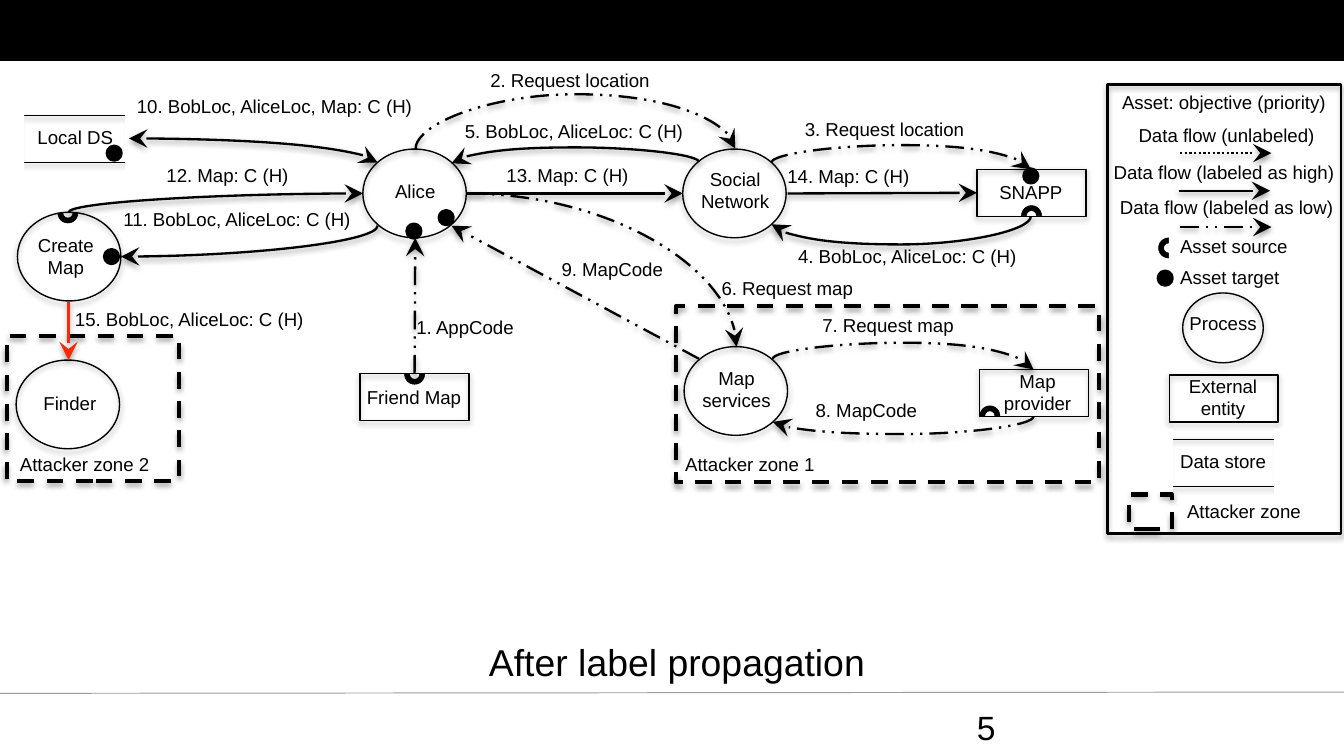
from dataclasses import dataclass
from typing import Optional

import pptx
import pptx.dml.color
import pptx.enum.dml
import pptx.enum.shapes
import pptx.enum.text
import pptx.oxml
import pptx.oxml.ns
import pptx.util
from lxml import etree

COLORS = {"ink": "000000", "paper": "FFFFFF", "rule": "9C9C9C", "leak": "F92B07"}
SHAPE = pptx.enum.shapes.MSO_SHAPE
DASH = pptx.enum.dml.MSO_LINE
LOW, UNLABELED, ZONE = DASH.DASH_DOT_DOT, DASH.ROUND_DOT, DASH.DASH
CAPTION_WIDTH = 0.96
qn = pptx.oxml.ns.qn


@dataclass
class Node:
    kind: str
    x: float
    y: float
    label: str
    dx: float
    dy: float
    width: float = 0.81
    height: float = 0.35


@dataclass
class Flow:
    start: tuple
    end: tuple
    dash: Optional[int] = None
    level: Optional[float] = None  # height of the bow of a U-shaped curve
    corner: str = ""  # first direction of a quarter curve
    color: str = "ink"
    both: bool = False
    source: str = ""
    target: str = ""


PROCESS = {"width": 0.77, "height": 0.66}
NODES = [
    Node("process", 5.09, 2.58, "Map services", -0.09, 0.1, **PROCESS),
    Node("process", 5.08, 1.11, "Social Network", -0.09, 0.09, **PROCESS),
    Node("process", 2.7, 1.11, "Alice", -0.09, 0.18, **PROCESS),
    Node("process", 0.13, 1.58, "Create\nMap", -0.12, 0.11, **PROCESS),
    Node("process", 0.12, 2.68, "Finder", -0.08, 0.19, **PROCESS),
    Node("process", 8.8, 2.18, "Process", -0.18, 0.09, 0.6, 0.52),
    Node("entity", 2.68, 2.78, "Friend Map", -0.08, 0.04),
    Node("entity", 7.27, 1.26, "SNAPP", -0.08, 0.04),
    Node("entity", 7.29, 2.75, "Map provider", -0.05, -0.05),
    Node("entity", 8.7, 2.79, "External entity", -0.08, -0.05),
    Node("store", 8.7, 3.27, "Data store", -0.08, 0.03),
    Node("store", 0.15, 0.86, "Local DS", -0.07, 0.03),
]
FLOWS = [
    Flow((3.09, 2.78), (3.09, 1.77), LOW, source="Friend Map"),
    Flow((3.09, 1.11), (5.47, 1.11), LOW, level=0.69),
    Flow((5.74, 1.21), (7.67, 1.26), LOW, level=1.08),
    Flow((7.67, 1.61), (5.74, 1.67), level=1.82),
    Flow((5.2, 1.21), (3.36, 1.21), level=1.1),
    Flow((3.47, 1.44), (5.48, 2.58), LOW, corner="across"),
    Flow((5.75, 2.67), (7.69, 2.75), LOW, level=2.55),
    Flow((7.69, 3.1), (5.75, 3.14), LOW, level=3.23),
    Flow((5.2, 2.67), (3.36, 1.68), LOW),
    Flow((0.96, 1.03), (2.81, 1.21), corner="across", both=True),
    Flow((2.81, 1.68), (0.9, 1.91), corner="down"),
    Flow((0.51, 1.58), (2.7, 1.44), corner="down"),
    Flow((3.47, 1.44), (5.08, 1.44)),
    Flow((5.86, 1.44), (7.27, 1.44), target="SNAPP"),
    Flow((0.51, 2.25), (0.51, 2.68), color="leak"),
    # Legend samples
    Flow((8.78, 1.14), (9.46, 1.14), UNLABELED),
    Flow((8.77, 1.42), (9.45, 1.42)),
    Flow((8.78, 1.69), (9.46, 1.69), LOW),
]
FLOW_LABELS = [
    (3, 2.3, 1.34, "1. AppCode"), (3.55, 0.46, 1.53, "2. Request location"),
    (5.89, 0.83, 1.53, "3. Request location"), (5.84, 1.77, 2.17, "4. BobLoc, AliceLoc: C (H)"),
    (3.36, 0.84, 2.18, "5. BobLoc, AliceLoc: C (H)"), (5.27, 2.01, 1.19, "6. Request map"),
    (6.02, 2.29, 1.2, "7. Request map"), (5.97, 2.92, 1.05, "8. MapCode"),
    (4.08, 1.87, 1.48, "9. MapCode"), (0.92, 0.66, 2.38, "10. BobLoc, AliceLoc, Map: C (H)"),
    (0.82, 1.5, 2.33, "11. BobLoc, AliceLoc: C (H)"), (1.14, 1.17, 1.61, "12. Map: C (H)"),
    (3.67, 1.17, 1.71, "13. Map: C (H)"), (5.76, 1.18, 1.68, "14. Map: C (H)"),
    (0.46, 2.24, 2.47, "15. BobLoc, AliceLoc: C (H)"), (8.25, 0.63, 1.75, "Asset: objective (priority)"),
    (5, 3.32, 1.48, "Attacker zone 1"), (0.05, 3.32, 1.48, "Attacker zone 2"),
]
LEGEND_LABELS = [
    (8.08, 0.87, 2.09, "Data flow (unlabeled)"), (8.06, 1.15, 2.09, "Data flow (labeled as high)"),
    (8.08, 1.41, 2.09, "Data flow (labeled as low)"), (8.67, 1.7, 1.02, "Asset source"),
    (8.67, 1.93, 0.96, "Asset target"), (8.72, 3.67, 1.07, "Attacker zone"),
]
ZONES = [(5.03, 2.28, 3.15, 1.31), (0.05, 2.5, 1.28, 1.08), (8.4, 3.68, 0.32, 0.26)]
TARGETS = [(3.03, 1.67), (3.27, 1.57), (7.62, 1.26), (0.78, 1.86), (0.8, 1.09), (8.62, 2.02)]
SOURCES = [(3.01, 2.71, 180), (7.6, 1.53, 0), (7.29, 3.02, 0), (0.43, 1.51, 180), (8.62, 1.77, 270)]


def length(inches: float) -> pptx.util.Length:
    return pptx.util.Cm(inches * 2.54)


def rgb(name: str) -> pptx.dml.color.RGBColor:
    return pptx.dml.color.RGBColor.from_string(COLORS[name])


def set_shadow(shape, visible: bool, alpha: int = 38, distance: float = 1.6) -> None:
    properties = shape.element.spPr
    effects = properties.find(qn("a:effectLst"))
    if effects is None:
        effects = etree.SubElement(properties, qn("a:effectLst"))
    if visible:
        shadow = etree.SubElement(effects, qn("a:outerShdw"), blurRad=str(pptx.util.Pt(3.1)),
                                  dist=str(pptx.util.Pt(distance)), dir="5400000", rotWithShape="0")
        tint = etree.SubElement(shadow, qn("a:srgbClr"), val=COLORS["ink"])
        etree.SubElement(tint, qn("a:alpha"), val=str(alpha * 1000))


def add_block(page, kind, x: float, y: float, width: float, height: float, fill: str = "",
              line: float = 0, dash=None, shadow: bool = False):
    block = page.shapes.add_shape(kind, *map(length, (x, y, width, height)))
    block.shadow.inherit = False
    if fill:
        block.fill.solid()
        block.fill.fore_color.rgb = rgb(fill)
    else:
        block.fill.background()
    if line:
        block.line.color.rgb = rgb("ink")
        block.line.width = pptx.util.Pt(line)
        if dash:
            block.line.dash_style = dash
    else:
        block.line.fill.background()
    set_shadow(block, shadow)
    return block


def add_text(page, text: str, x: float, y: float, width: float, height: float = 0.27,
             size: float = 10, centered: bool = False, wrap: bool = True) -> None:
    box = page.shapes.add_textbox(*map(length, (x, y, width, height)))
    box.text_frame.word_wrap = wrap
    box.text_frame.text = text
    for para in box.text_frame.paragraphs:
        para.alignment = pptx.enum.text.PP_ALIGN.CENTER if centered else pptx.enum.text.PP_ALIGN.LEFT
        for span in para.runs:
            span.font.name, span.font.size = "Arial", pptx.util.Pt(size)
            span.font.color.rgb = rgb("ink")


def add_line(page, start: tuple, end: tuple, color: str, weight: float, curved: bool = False):
    kinds = pptx.enum.shapes.MSO_CONNECTOR
    line = page.shapes.add_connector(kinds.CURVE if curved else kinds.STRAIGHT,
                                     *map(length, (*start, *end)))
    line.line.color.rgb = rgb(color)
    line.line.width = pptx.util.Pt(weight)
    return line


def add_curve(page, flow: Flow):
    """Place a preset curve; curves that start vertically are turned a quarter."""
    (x1, y1), (x2, y2) = flow.start, flow.end
    width, height = abs(x2 - x1), max(abs(y2 - y1), 0.01)
    if flow.corner == "across":
        curve = add_line(page, (x1, y1), (x2, y2), flow.color, 1.25, curved=True)
    else:
        left, top = (x1 + x2 - height) / 2, (y1 + y2 - width) / 2
        curve = add_line(page, (left, top), (left + height, top + width), flow.color, 1.25, curved=True)
        rightward, upward = x2 > x1, y2 < y1 or (y1 == y2 and x2 > x1)
        frame = curve.element.spPr.find(qn("a:xfrm"))
        three_quarters = rightward and not upward
        frame.set("rot", str((270 if three_quarters else 90) * 60000))
        frame.set("flipH", str(int(upward or three_quarters)))
        frame.set("flipV", str(int(rightward and upward)))
    geometry = curve.element.spPr.find(qn("a:prstGeom"))
    geometry.set("prst", "curvedConnector2" if flow.corner else "curvedConnector3")
    if flow.level is not None:
        bend = (flow.level - y1) / (-height if upward else height)
        guides = geometry.find(qn("a:avLst"))
        etree.SubElement(guides, qn("a:gd"), name="adj1", fmla=f"val {round(bend * 100000)}")
    return curve


def add_flow(page, flow: Flow, entities: dict) -> None:
    if flow.corner or flow.level is not None:
        line = add_curve(page, flow)
    else:
        line = add_line(page, flow.start, flow.end, flow.color, 1.25)
        if flow.source:
            line.begin_connect(entities[flow.source], 0)
        if flow.target:
            line.end_connect(entities[flow.target], 1)
    if flow.dash:
        line.line.dash_style = flow.dash
    outline = line.element.spPr.find(qn("a:ln"))
    for tag in ("a:headEnd", "a:tailEnd") if flow.both else ("a:tailEnd",):
        etree.SubElement(outline, qn(tag), type="stealth", w="lg", len="lg")
    set_shadow(line, True)


def add_node(page, node: Node):
    kind = SHAPE.OVAL if node.kind == "process" else SHAPE.RECTANGLE
    block = add_block(page, kind, node.x, node.y, node.width, node.height, line=0.75, shadow=True)
    if node.kind == "store":  # white strips hide the short sides
        for offset in (-0.14, 0.78):
            add_block(page, SHAPE.RECTANGLE, node.x + offset, node.y - 0.08, 0.17, 0.52, fill="paper")
    add_text(page, node.label, node.x + node.dx, node.y + node.dy, CAPTION_WIDTH, 0.45, centered=True)
    return block


def main() -> None:
    deck = pptx.Presentation()
    deck.slide_width, deck.slide_height = pptx.util.Cm(25.4), pptx.util.Cm(14.29)
    page = deck.slides.add_slide(deck.slide_layouts[6])
    # Page frame
    add_block(page, SHAPE.RECTANGLE, 0, 0, 10, 0.46, fill="ink")
    for start, end, color in (((0, 5.16), (10, 5.15), "rule"), ((0, 0.46), (10, 0.46), "paper")):
        set_shadow(add_line(page, start, end, color, 0.5), False)
    add_text(page, "5", 7.17, 5.21, 2.33, 0.3, size=18)
    # Legend frame, nodes and attacker zones
    add_block(page, SHAPE.RECTANGLE, 8.24, 0.63, 1.74, 3.34, line=1.25, shadow=True)
    entities = {node.label: add_node(page, node) for node in NODES}
    for zone in ZONES:
        add_block(page, SHAPE.RECTANGLE, *zone, line=2.25, dash=ZONE, shadow=True)
    # Data flows
    for flow in FLOWS:
        add_flow(page, flow, entities)
    # Asset targets and sources
    for x, y in TARGETS:
        add_block(page, SHAPE.OVAL, x, y, 0.1, 0.1, fill="ink", line=2)
    for x, y, turn in SOURCES:
        add_block(page, SHAPE.BLOCK_ARC, x, y, 0.15, 0.15, fill="ink", line=0.25).rotation = turn
    # Labels and title
    for x, y, width, text in FLOW_LABELS:
        add_text(page, text, x, y, width)
    for x, y, width, text in LEGEND_LABELS:
        add_text(page, text, x, y, width, 0.31, centered=True)
    add_text(page, "After label propagation", 3.54, 4.71, 6.26, 1, size=20, wrap=False)
    deck.save("out.pptx")


if __name__ == "__main__":
    main()
